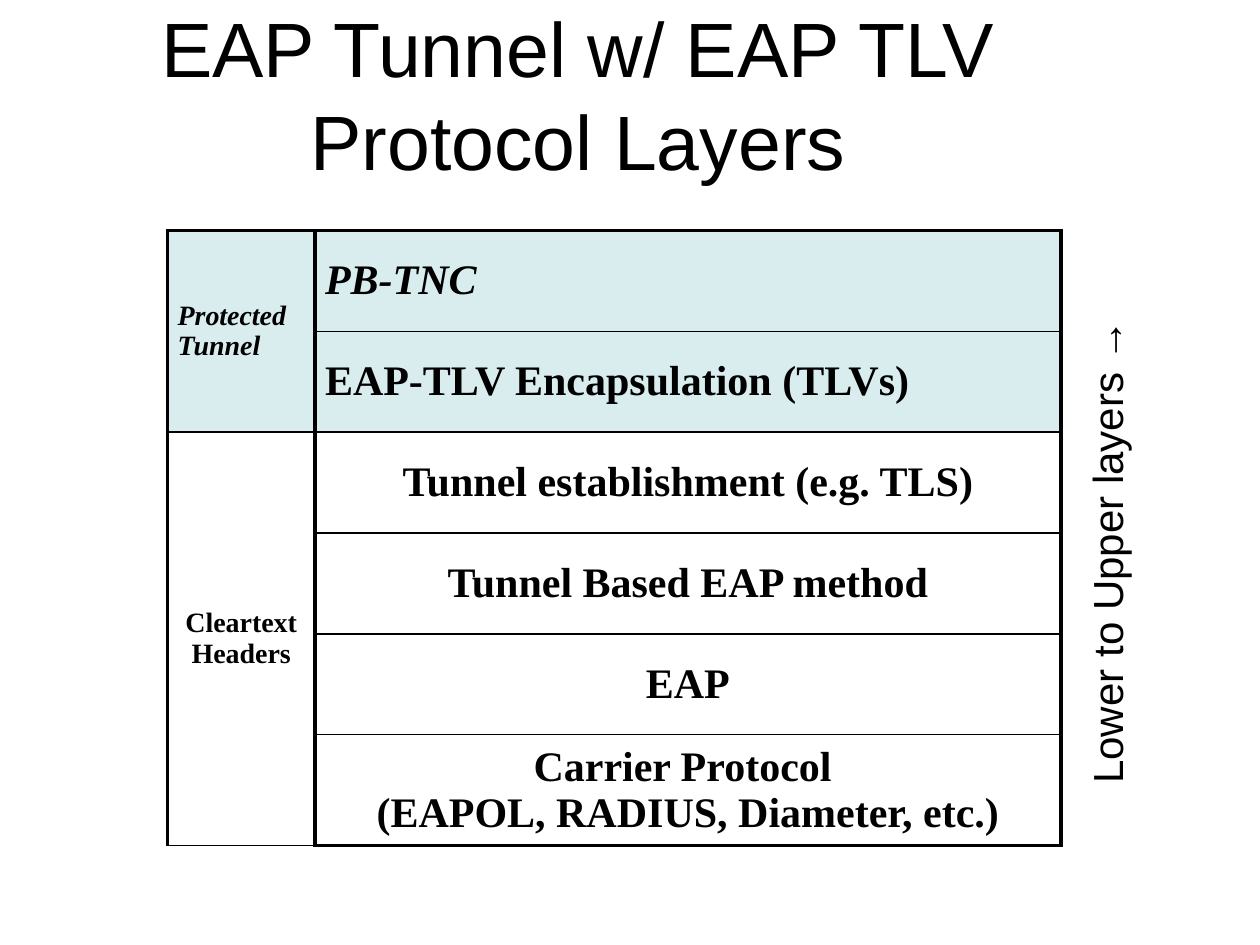
"""Build a slide showing the protocol layers of an EAP tunnel with EAP TLV."""
import pptx
import pptx.dml.color
import pptx.enum.text
import pptx.oxml
import pptx.oxml.ns
import pptx.util

Inches = pptx.util.Inches
Pt = pptx.util.Pt
ALIGN = pptx.enum.text.PP_ALIGN
MIDDLE = pptx.enum.text.MSO_ANCHOR.MIDDLE

TITLE = "EAP Tunnel w/ EAP TLV Protocol Layers"
DIRECTION = "Lower to Upper layers →"
GROUPS = [
    {"label": "Protected Tunnel", "italic": True, "fill": "tunnel", "align": ALIGN.LEFT, "spacing": 0.95,
     "layers": [("PB-TNC", True), ("EAP-TLV Encapsulation (TLVs)", False)]},
    {"label": "Cleartext Headers", "italic": False, "fill": None, "align": ALIGN.CENTER, "spacing": None,
     "layers": [("Tunnel establishment (e.g. TLS)", False), ("Tunnel Based EAP method", False),
                ("EAP", False), ("Carrier Protocol \n(EAPOL, RADIUS, Diameter, etc.)", False)]},
]
COLORS = {"ink": "000000", "tunnel": "D9EDEF"}
COLUMNS = (1.17, 5.92)
ROW_HEIGHT = 0.8
THICK, THIN = 2.25, 1
ROWS = sum(len(group["layers"]) for group in GROUPS)


def rgb(name):
    return pptx.dml.color.RGBColor.from_string(COLORS[name])


def write(frame, text, font_name, size, align, bold=False, italic=False, spacing=None):
    frame.text = text
    for paragraph in frame.paragraphs:
        paragraph.alignment = align
        paragraph.line_spacing = spacing
        font = paragraph.font
        font.name, font.size, font.bold, font.italic = font_name, Pt(size), bold, italic
        font.color.rgb = rgb("ink")


def set_insets(target):
    target.margin_left = target.margin_right = Inches(0.08)
    target.margin_top = target.margin_bottom = Inches(0.04)


def draw_borders(cell, row):
    widths = {"L": THICK, "R": THICK, "T": THICK if row == 0 else THIN, "B": THICK if row == ROWS - 1 else THIN}
    for side, width in widths.items():
        cell._tc.get_or_add_tcPr().append(pptx.oxml.parse_xml(
            f'<a:ln{side} {pptx.oxml.ns.nsdecls("a")} w="{Pt(width)}"><a:solidFill>'
            f'<a:srgbClr val="{COLORS["ink"]}"/></a:solidFill></a:ln{side}>'))


def format_cell(cell, row, fill):
    draw_borders(cell, row)
    set_insets(cell)
    cell.vertical_anchor = MIDDLE
    if fill:
        cell.fill.solid()
        cell.fill.fore_color.rgb = rgb(fill)
    else:
        cell.fill.background()


def add_layers(slide):
    table = slide.shapes.add_table(ROWS, len(COLUMNS), Inches(1.33), Inches(1.83),
                                   Inches(sum(COLUMNS)), Inches(ROWS * ROW_HEIGHT)).table
    table.first_row = table.horz_banding = False
    for column, width in zip(table.columns, COLUMNS):
        column.width = Inches(width)
    row = 0
    for group in GROUPS:
        first = row
        style = {"align": group["align"], "bold": True, "spacing": group["spacing"]}
        for text, italic in group["layers"]:
            for column in range(len(COLUMNS)):
                format_cell(table.cell(row, column), row, group["fill"])
            write(table.cell(row, 1).text_frame, text, "Times New Roman", 24, italic=italic, **style)
            row += 1
        label = table.cell(first, 0)
        label.merge(table.cell(row - 1, 0))
        write(label.text_frame, group["label"], "Times New Roman", 16, italic=group["italic"], **style)


def add_title(slide):
    frame = slide.shapes.add_textbox(Inches(0.42), Inches(0.28), Inches(8.34), Inches(0.92)).text_frame
    frame.word_wrap = True
    frame.vertical_anchor = MIDDLE
    write(frame, TITLE, "Arial", 44, ALIGN.CENTER)


def add_direction(slide):
    box = slide.shapes.add_textbox(Inches(8.5), Inches(2.25), Inches(0.56), Inches(4.01))
    box.rotation = 180
    frame = box.text_frame
    frame.word_wrap = False
    frame.auto_size = pptx.enum.text.MSO_AUTO_SIZE.SHAPE_TO_FIT_TEXT
    set_insets(frame)
    frame._txBody.bodyPr.set("vert", "eaVert")
    write(frame, DIRECTION, "Arial", 24, ALIGN.LEFT)


def main():
    presentation = pptx.Presentation()
    presentation.slide_width, presentation.slide_height = Inches(10), Inches(7.5)
    slide = presentation.slides.add_slide(presentation.slide_layouts[6])
    add_title(slide)
    add_layers(slide)
    add_direction(slide)
    presentation.save("out.pptx")


if __name__ == "__main__":
    main()
